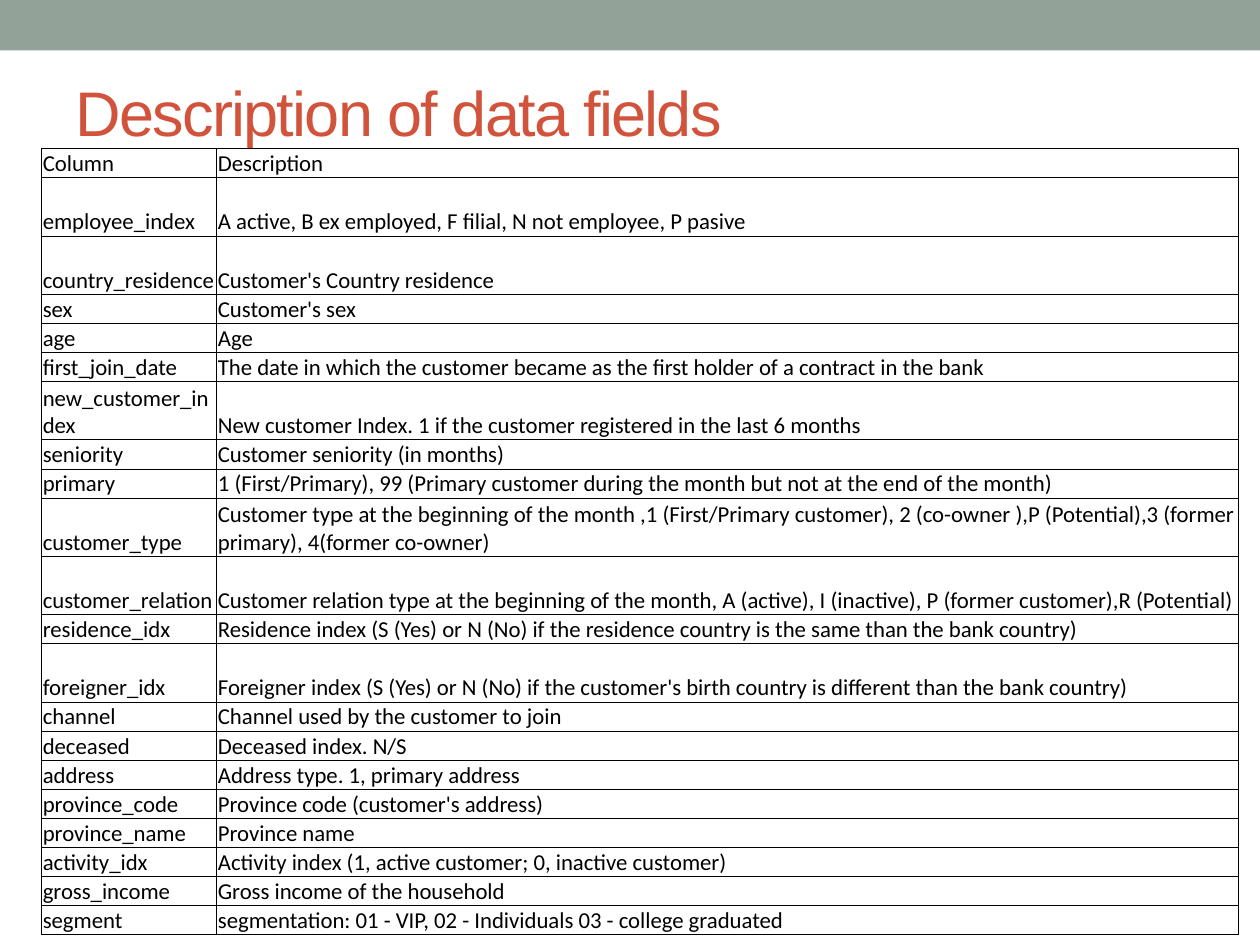
import pptx
import pptx.dml.color
import pptx.enum.shapes
import pptx.enum.text
import pptx.oxml
import pptx.oxml.ns
import pptx.util

Inches = pptx.util.Inches
Pt = pptx.util.Pt
Anchor = pptx.enum.text.MSO_ANCHOR

FIELDS = [
    ("Column", "Description"),
    ("employee_index", "A active, B ex employed, F filial, N not employee, P pasive"),
    ("country_residence", "Customer's Country residence"),
    ("sex", "Customer's sex"),
    ("age", "Age"),
    ("first_join_date", "The date in which the customer became as the first holder "
                        "of a contract in the bank"),
    ("new_customer_index", "New customer Index. 1 if the customer registered in the last 6 months"),
    ("seniority", "Customer seniority (in months)"),
    ("primary", "1 (First/Primary), 99 (Primary customer during the month "
                "but not at the end of the month)"),
    ("customer_type", "Customer type at the beginning of the month ,1 (First/Primary customer), "
                      "2 (co-owner ),P (Potential),3 (former primary), 4(former co-owner)"),
    ("customer_relation", "Customer relation type at the beginning of the month, A (active), "
                          "I (inactive), P (former customer),R (Potential)"),
    ("residence_idx", "Residence index (S (Yes) or N (No) if the residence country "
                      "is the same than the bank country)"),
    ("foreigner_idx", "Foreigner index (S (Yes) or N (No) if the customer's birth country "
                      "is different than the bank country)"),
    ("channel", "Channel used by the customer to join"),
    ("deceased", "Deceased index. N/S"),
    ("address", "Address type. 1, primary address"),
    ("province_code", "Province code (customer's address)"),
    ("province_name", "Province name"),
    ("activity_idx", "Activity index (1, active customer; 0, inactive customer)"),
    ("gross_income", "Gross income of the household"),
    ("segment", "segmentation: 01 - VIP, 02 - Individuals 03 - college graduated"),
]
DOUBLE_HEIGHT = {"employee_index", "country_residence", "new_customer_index",
                 "customer_type", "customer_relation", "foreigner_idx"}


def rgb(hex_color):
    return pptx.dml.color.RGBColor.from_string(hex_color)


def write_text(text_frame, text, *, font, size, color, spacing=None):
    """Fill the frame with one left-aligned run; spacing is in points."""
    paragraph = text_frame.paragraphs[0]
    paragraph.alignment = pptx.enum.text.PP_ALIGN.LEFT
    run = paragraph.add_run()
    run.text = text
    run.font.name = font
    run.font.size = Pt(size)
    run.font.color.rgb = rgb(color)
    if spacing is not None:
        run.font._element.set("spc", str(int(spacing * 100)))


def add_borders(cell, color, width):
    properties = cell._tc.get_or_add_tcPr()
    for position, side in enumerate(("lnL", "lnR", "lnT", "lnB")):
        properties.insert(position, pptx.oxml.parse_xml(
            f'<a:{side} {pptx.oxml.ns.nsdecls("a")} w="{Pt(width)}">'
            f'<a:solidFill><a:srgbClr val="{color}"/></a:solidFill></a:{side}>'))


class SlideBuilder:
    band_color = "93A299"
    title_color = "D2533C"
    ink = "000000"
    title_font = "Arial"
    table_font = "Calibri"

    def __init__(self, presentation):
        self.slide = presentation.slides.add_slide(presentation.slide_layouts[5])

    def band(self, left, top, width, height):
        shape = self.slide.shapes.add_shape(
            pptx.enum.shapes.MSO_SHAPE.RECTANGLE,
            Inches(left), Inches(top), Inches(width), Inches(height))
        shape.shadow.inherit = False
        shape.fill.solid()
        shape.fill.fore_color.rgb = rgb(self.band_color)
        shape.line.fill.background()

    def title(self, text, left, top, width, height):
        title = self.slide.shapes.title
        title.left, title.top = Inches(left), Inches(top)
        title.width, title.height = Inches(width), Inches(height)
        frame = title.text_frame
        frame.auto_size = pptx.enum.text.MSO_AUTO_SIZE.NONE
        frame.vertical_anchor = Anchor.TOP
        frame.margin_top = 0
        write_text(frame, text, font=self.title_font, size=36,
                   color=self.title_color, spacing=-1)

    def table(self, rows, left, top, column_widths, height):
        table = self.slide.shapes.add_table(
            len(rows), len(column_widths), Inches(left), Inches(top),
            Inches(sum(column_widths)), Inches(height)).table
        table.first_row = table.horz_banding = False
        for column, width in zip(table.columns, column_widths):
            column.width = Inches(width)
        line_counts = [2 if row[0] in DOUBLE_HEIGHT else 1 for row in rows]
        line_height = height / sum(line_counts)
        for table_row, lines, texts in zip(table.rows, line_counts, rows):
            table_row.height = Inches(lines * line_height)
            for cell, text in zip(table_row.cells, texts):
                self.cell(cell, text)

    def cell(self, cell, text):
        cell.margin_left = cell.margin_right = cell.margin_top = Inches(0.01)
        cell.margin_bottom = 0
        cell.vertical_anchor = Anchor.BOTTOM
        cell.fill.background()
        add_borders(cell, self.ink, 0.5)
        write_text(cell.text_frame, text, font=self.table_font, size=13, color=self.ink)


def main():
    presentation = pptx.Presentation()
    presentation.slide_width = Inches(10)
    presentation.slide_height = Inches(7.5)
    builder = SlideBuilder(presentation)
    builder.band(0, 0, 10, 0.4)
    builder.title("Description of data fields", 0.5, 0.58, 9, 1.08)
    builder.table(FIELDS, 0.33, 1.18, (1.39, 8.11), 6.24)
    presentation.save("out.pptx")


if __name__ == "__main__":
    main()
